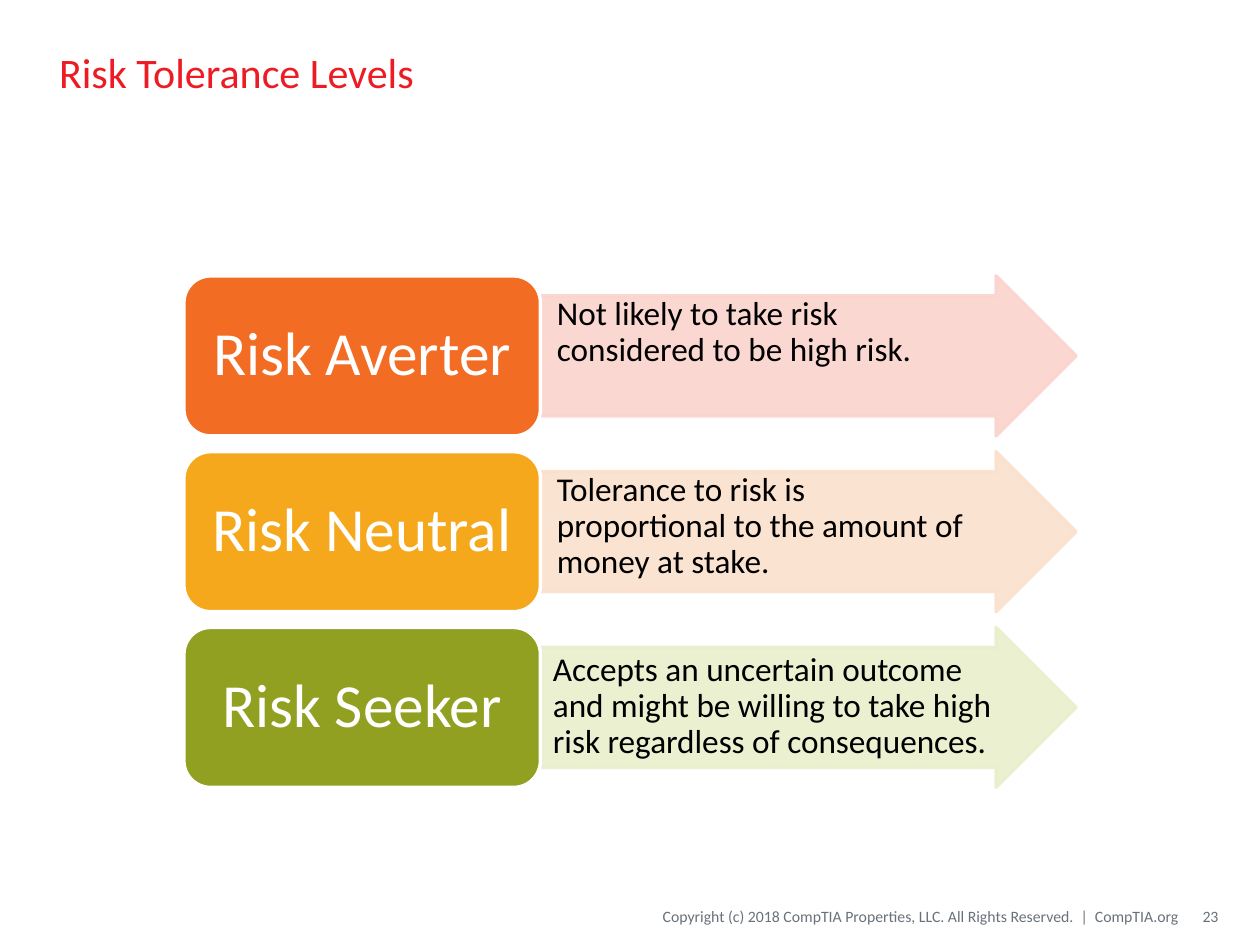
from dataclasses import dataclass

from lxml.etree import SubElement
from pptx import Presentation
from pptx.dml.color import RGBColor
from pptx.enum.shapes import MSO_SHAPE
from pptx.enum.text import MSO_ANCHOR, PP_ALIGN
from pptx.oxml.ns import qn
from pptx.util import Inches, Pt

LEFT, TOP = 1.46, 2.19
LABEL, ARROW = 2.83, 4.25
HIGH, STEP = 1.27, 1.395
INDENT = 0.12
FONT = "Calibri"


@dataclass
class Level:
    name: str
    note: str
    color: str
    tint: str


@dataclass
class Style:
    size: float
    color: str
    align: PP_ALIGN = PP_ALIGN.LEFT
    anchor: MSO_ANCHOR = MSO_ANCHOR.MIDDLE
    pad: tuple = (0.1, 0.05, 0.1, 0.05)
    indent: float = 0
    lead: float = 1


LEVELS = [
    Level("Risk Averter", "Not likely to take risk considered to be high risk.",
          "F26C23", "FAD4CD"),
    Level("Risk Neutral",
          "Tolerance to risk is proportional to the amount of money at stake.",
          "F5A81C", "FBE1CD"),
    Level("Risk Seeker", "", "92A022", "E9EFCD"),
]
SEEKER = ("Accepts an uncertain outcome and might be willing to take high "
          "risk regardless of consequences.")

HEAD = Style(24, "ED1C24")
FOOT = Style(9, "69727B", PP_ALIGN.RIGHT, pad=(0, 0.05, 0, 0.05))
NAME = Style(35, "FFFFFF", PP_ALIGN.CENTER, pad=(0.15, 0.07, 0.15, 0.07), lead=0.9)
NOTE = Style(19, "000000", anchor=MSO_ANCHOR.TOP, pad=(0.01, 0.01, 0.33, 0.01),
             indent=INDENT, lead=0.9)
LOOSE = Style(19, "000000", anchor=MSO_ANCHOR.TOP, indent=INDENT, lead=0.9)


def tone(code: str) -> RGBColor:
    return RGBColor.from_string(code)


def write(shape, text: str, style: Style) -> None:
    frame = shape.text_frame
    frame.word_wrap = True
    frame.vertical_anchor = style.anchor
    (frame.margin_left, frame.margin_top,
     frame.margin_right, frame.margin_bottom) = map(Inches, style.pad)
    para = frame.paragraphs[0]
    para.alignment = style.align
    para.line_spacing = style.lead
    if style.indent:
        props = para._p.get_or_add_pPr()
        props.set("marL", str(Inches(style.indent)))
        props.set("indent", "0")
    run = para.add_run()
    run.text = text
    run.font.name = FONT
    run.font.size = Pt(style.size)
    run.font.color.rgb = tone(style.color)


def label(slide, box: tuple, text: str, style: Style) -> None:
    write(slide.shapes.add_textbox(*map(Inches, box)), text, style)


def block(slide, kind: MSO_SHAPE, box: tuple, fill: str, line: str, adjust: tuple):
    shape = slide.shapes.add_shape(kind, *map(Inches, box))
    shape.shadow.inherit = False
    for spot, share in enumerate(adjust):
        shape.adjustments[spot] = share
    shape.fill.solid()
    shape.fill.fore_color.rgb = tone(fill)
    shape.line.color.rgb = tone(line)
    shape.line.width = Pt(2)
    return shape


def fade(shape, share: float) -> None:
    for color in shape.element.spPr.iter(qn("a:srgbClr")):
        SubElement(color, qn("a:alpha")).set("val", str(int(share * 100000)))


def draw(slide, row: int, level: Level) -> None:
    top = TOP + row * STEP
    arrow = block(slide, MSO_SHAPE.RIGHT_ARROW, (LEFT + LABEL, top, ARROW, HIGH),
                  level.tint, level.tint, (0.75, 0.5))
    fade(arrow, 0.9)
    if level.note:
        write(arrow, level.note, NOTE)
    card = block(slide, MSO_SHAPE.ROUNDED_RECTANGLE, (LEFT, top, LABEL, HIGH),
                 level.color, "FFFFFF", (0.167,))
    write(card, level.name, NAME)


def main() -> None:
    deck = Presentation()
    deck.slide_width, deck.slide_height = Inches(10), Inches(7.5)
    slide = deck.slides.add_slide(deck.slide_layouts[6])
    label(slide, (3.88, 7.12, 5.47, 0.3),
          "Copyright (c) 2018 CompTIA Properties, LLC. All Rights Reserved.  |  CompTIA.org",
          FOOT)
    label(slide, (0.37, 0.11, 9.25, 0.92), "Risk Tolerance Levels", HEAD)
    label(slide, (9.38, 7.12, 0.29, 0.3), "23", FOOT)
    for row, level in enumerate(LEVELS):
        draw(slide, row, level)
    label(slide, (4.17, 5.13, 4, 0.96), SEEKER, LOOSE)
    deck.save("out.pptx")


if __name__ == "__main__":
    main()
